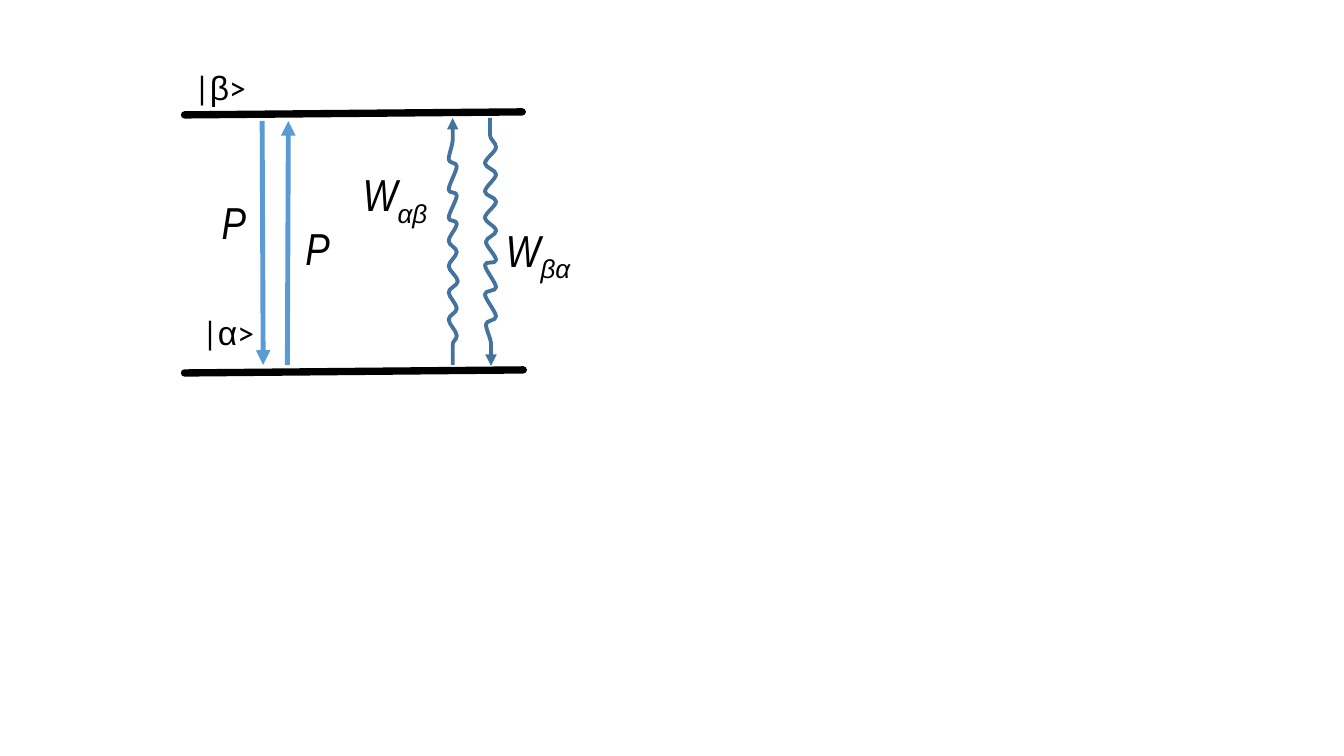
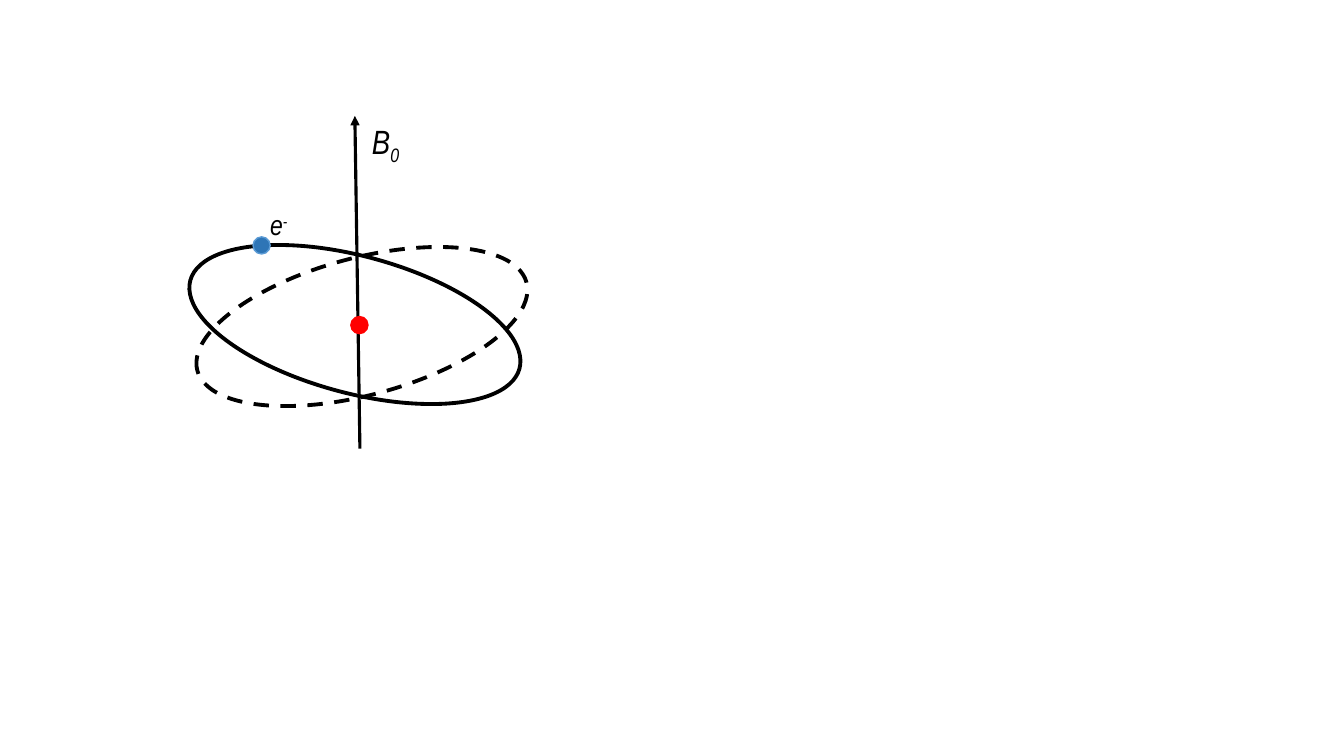
from lxml import etree
from pptx import Presentation
from pptx.dml.color import RGBColor
from pptx.enum.dml import MSO_LINE
from pptx.enum.shapes import MSO_CONNECTOR, MSO_SHAPE
from pptx.enum.text import MSO_AUTO_SIZE
from pptx.oxml.ns import qn
from pptx.util import Inches, Pt

STRAIGHT = MSO_CONNECTOR.STRAIGHT
OVAL = MSO_SHAPE.OVAL
DASH = MSO_LINE.DASH
GROW = MSO_AUTO_SIZE.SHAPE_TO_FIT_TEXT

COLORS = {
    "ink": "000000",
    "pump": "5B9BD5",
    "relaxation": "43739E",
    "nucleus": "FF0000",
    "electron": "2E75B6",
}
NARROW, ARIAL, CALIBRI = "Arial Narrow", "Arial", "Calibri"
SUB, SUPER = -25000, 30000

# Lines: start, end, stroke
LEVEL = {"color": "ink", "width": 5.25, "cap": "rnd"}
PUMP = {"color": "pump", "width": 3.5, "arrow": True}
TRANSITION_LINES = [
    ((1.83, 1.14), (5.18, 1.11), LEVEL),
    ((1.83, 3.7), (5.19, 3.67), LEVEL),
    ((2.6, 1.2), (2.61, 3.62), PUMP),
    ((2.85, 3.62), (2.86, 1.2), PUMP),
]
FIELD_AXIS = ((3.57, 4.45), (3.52, 1.15), {"color": "ink", "width": 2.25, "arrow": True})

# Wavy arrows: the points where each wave turns, from tail to tip
WAVE = {"color": "relaxation", "width": 2.75, "arrow": True}
HANDLE = 0.045
WAVES = [
    [(4.49, 3.62), (4.49, 3.42), (4.53, 3.33), (4.45, 3.17), (4.53, 3.06), (4.45, 2.9),
     (4.54, 2.79), (4.45, 2.64), (4.53, 2.5), (4.45, 2.39), (4.53, 2.22), (4.45, 2.16),
     (4.53, 1.94), (4.45, 1.88), (4.53, 1.65), (4.45, 1.58), (4.49, 1.39), (4.49, 1.17)],
    [(4.86, 1.17), (4.86, 1.34), (4.92, 1.46), (4.81, 1.62), (4.92, 1.73), (4.81, 1.9),
     (4.92, 2), (4.81, 2.16), (4.92, 2.29), (4.82, 2.4), (4.92, 2.58), (4.81, 2.63),
     (4.92, 2.85), (4.81, 2.92), (4.92, 3.14), (4.82, 3.22), (4.87, 3.41), (4.87, 3.63)],
]

# Labels: box, size, italic, runs of (text, font, baseline)
TRANSITION_LABELS = [
    ((1.83, 0.61, 0.74, 0.5), 24, False, [("|", CALIBRI, 0), ("β", ARIAL, 0), (">", CALIBRI, 0)]),
    ((1.91, 3.05, 0.74, 0.5), 24, False, [("|", CALIBRI, 0), ("α", ARIAL, 0), (">", CALIBRI, 0)]),
    ((2.1, 1.88, 0.5, 0.64), 32, True, [("P", NARROW, 0)]),
    ((2.93, 2.14, 0.5, 0.64), 32, True, [("P", NARROW, 0)]),
    ((4.92, 2.16, 0.98, 0.64), 32, True, [("W", NARROW, 0), ("βα", ARIAL, SUB)]),
    ((3.5, 1.61, 0.98, 0.64), 32, True, [("W", NARROW, 0), ("αβ", ARIAL, SUB)]),
]
ORBIT_LABELS = [
    ((2.58, 2.01, 0.42, 0.44), 20, True, [("e", NARROW, 0), ("-", NARROW, SUPER)]),
    ((3.59, 1.15, 0.55, 0.5), 24, True, [("B", NARROW, 0), ("0", NARROW, SUB)]),
]

# Ellipses: box, rotation, fill, stroke
ORBIT = {"color": "ink", "width": 2.75}
ELLIPSES = [
    ((1.83, 2.54, 3.38, 1.36), 15, None, ORBIT),
    ((1.9, 2.56, 3.38, 1.36), 345, None, {**ORBIT, "dash": DASH}),
    ((3.48, 3.14, 0.17, 0.17), 0, "nucleus", {"color": "nucleus", "width": 1}),
    ((2.51, 2.35, 0.17, 0.17), 0, "electron", {"color": "pump", "width": 1}),
]


def rgb(name):
    return RGBColor.from_string(COLORS[name])


def inches(values):
    return [Inches(value) for value in values]


def set_stroke(shape, color, width, dash=None, cap=None, arrow=False):
    line = shape.line
    line.color.rgb = rgb(color)
    line.width = Pt(width)
    if dash:
        line.dash_style = dash
    outline = line._get_or_add_ln()
    if cap:
        outline.set("cap", cap)
    if arrow:
        etree.SubElement(outline, qn("a:tailEnd"), type="triangle")


def add_line(page, start, end, stroke):
    line = page.shapes.add_connector(STRAIGHT, *inches(start + end))
    set_stroke(line, **stroke)
    etree.SubElement(line._element.spPr, qn("a:effectLst"))


def add_wave(page, turns):
    """Draw a cubic curve that runs vertically through every turning point."""
    points = []
    for (x1, y1), (x2, y2) in zip(turns, turns[1:]):
        reach = HANDLE if y2 > y1 else -HANDLE
        points += [(x1, y1 + reach), (x2, y2 - reach), (x2, y2)]
    builder = page.shapes.build_freeform(*inches(turns[0]))
    builder.add_line_segments([inches(point) for point in points], close=False)
    wave = builder.convert_to_shape()
    segments = list(wave._element.iter(qn("a:lnTo")))
    for first in range(0, len(segments), 3):
        curve = etree.Element(qn("a:cubicBezTo"))
        segments[first].addprevious(curve)
        for segment in segments[first:first + 3]:
            curve.append(segment[0])
            segment.getparent().remove(segment)
    wave.shadow.inherit = False
    wave.fill.background()
    set_stroke(wave, **WAVE)


def add_ellipse(page, place, rotation, fill, stroke):
    ellipse = page.shapes.add_shape(OVAL, *inches(place))
    ellipse.rotation = rotation
    ellipse.shadow.inherit = False
    if fill:
        ellipse.fill.solid()
        ellipse.fill.fore_color.rgb = rgb(fill)
    else:
        ellipse.fill.background()
    set_stroke(ellipse, **stroke)


def add_label(page, place, size, italic, spans):
    frame = page.shapes.add_textbox(*inches(place)).text_frame
    frame.word_wrap = False
    frame.auto_size = GROW
    for text, font, baseline in spans:
        span = frame.paragraphs[0].add_run()
        span.text = text
        for name, value in {"name": font, "size": Pt(size), "italic": italic}.items():
            setattr(span.font, name, value)
        span.font.color.rgb = rgb("ink")
        if baseline:
            span._r.get_or_add_rPr().set("baseline", str(baseline))


def add_transition_slide(page):
    for line in TRANSITION_LINES:
        add_line(page, *line)
    for label in TRANSITION_LABELS:
        add_label(page, *label)
    for turns in WAVES:
        add_wave(page, turns)


def add_orbit_slide(page):
    add_line(page, *FIELD_AXIS)
    for ellipse in ELLIPSES:
        add_ellipse(page, *ellipse)
    for label in ORBIT_LABELS:
        add_label(page, *label)


def main():
    deck = Presentation()
    deck.slide_width, deck.slide_height = inches((13.33, 7.5))
    blank = deck.slide_layouts[6]
    for fill_page in (add_transition_slide, add_orbit_slide):
        fill_page(deck.slides.add_slide(blank))
    deck.save("out.pptx")


if __name__ == "__main__":
    main()
